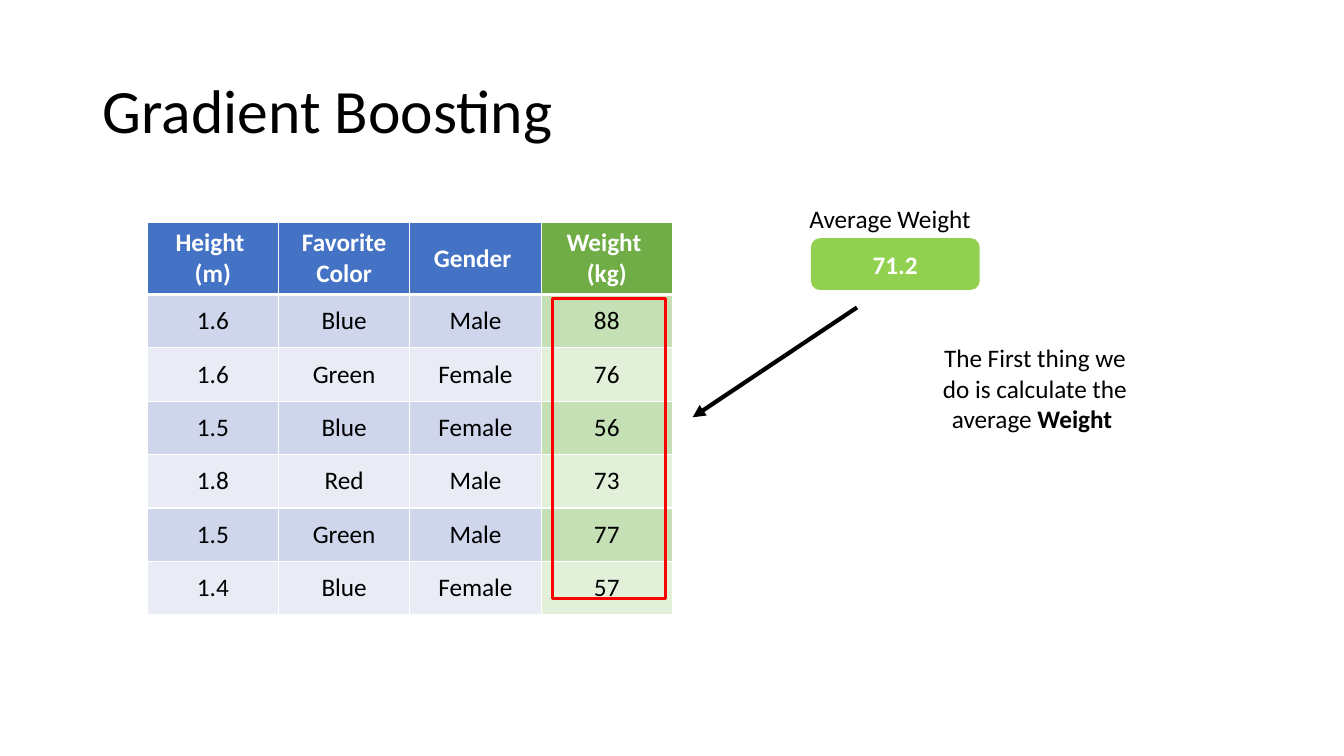
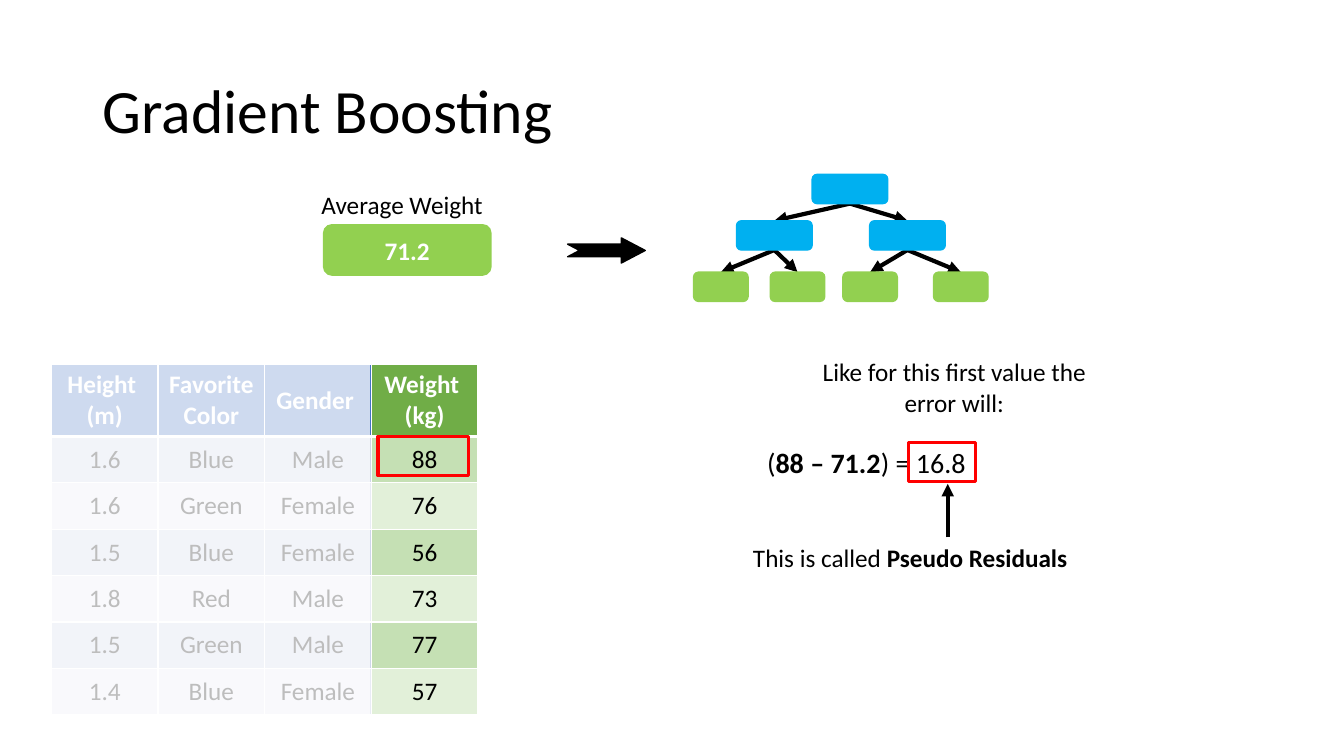
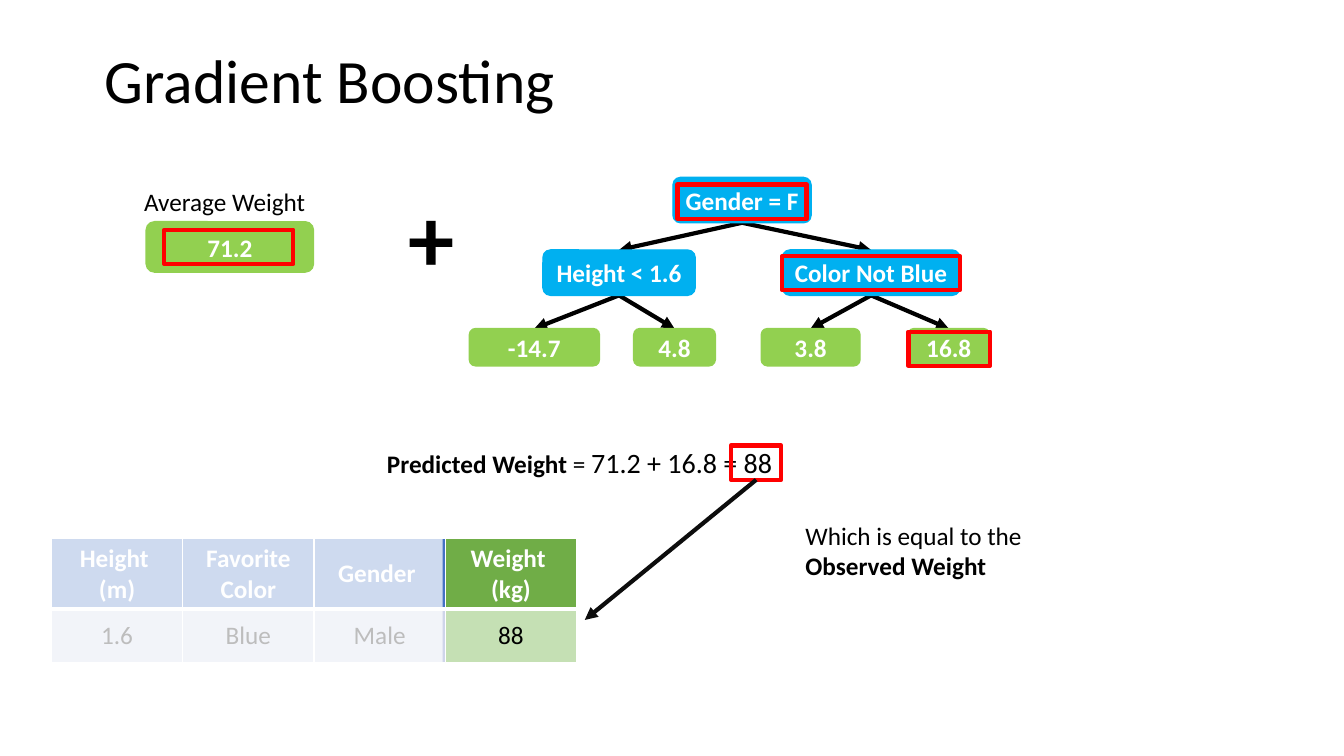
from lxml import etree
from pptx import Presentation
from pptx.dml.color import RGBColor
from pptx.enum.shapes import MSO_CONNECTOR, MSO_SHAPE
from pptx.enum.text import MSO_ANCHOR, MSO_AUTO_SIZE, PP_ALIGN
from pptx.oxml.ns import qn
from pptx.util import Inches, Pt

# Shared style
FONT = "Calibri"
BLACK, WHITE, RED, INK = "000000", "FFFFFF", "FF0000", "0D0D0D"
SKY, LIME = "00B0F0", "92D050"
HEAD_FILLS = ["4472C4"] * 3 + ["70AD47"]
BAND_FILLS = [["CFD5EA"] * 3 + ["C5E0B4"], ["E9EBF5"] * 3 + ["E2F0D9"]]
TITLE = "Gradient Boosting"
HEADER_H = 0.7

# Table content
HEADER = ["Height \n(m)", "Favorite\nColor", "Gender ", "Weight \n(kg)"]
PEOPLE = [
    ("1.6", "Blue", "Male", "88"),
    ("1.6", "Green", "Female", "76"),
    ("1.5", "Blue", "Female", "56"),
    ("1.8", "Red", "Male", "73"),
    ("1.5", "Green", "Male", "77"),
    ("1.4", "Blue", "Female", "57"),
]

# Trees: (top, height, colour, nodes) per level; node = (centre x, width, text)
EMPTY_TREE = [
    (1.73, 0.29, SKY, [(8.43, 0.75, "")]),
    (2.19, 0.29, SKY, [(7.68, 0.75, ""), (9, 0.75, "")]),
    (2.7, 0.29, LIME, [(x, 0.54, "") for x in (7.15, 7.91, 8.63, 9.53)]),
]
FITTED_TREE = [
    (1.76, 0.45, SKY, [(7.36, 1.37, "Gender = F")]),
    (2.48, 0.45, SKY, [(6.14, 1.51, "Height < 1.6"),
                       (8.64, 1.76, "Color Not Blue ")]),
    (3.26, 0.37, LIME, [(5.3, 1.29, "-14.7"), (6.69, 0.81, "4.8"),
                        (8.04, 0.98, "3.8"), (9.41, 0.81, "16.8")]),
]


def rgb(color):
    return RGBColor.from_string(color)


def inches(*values):
    return [Inches(v) for v in values]


def style_run(r, size, color, bold):
    r.font.name, r.font.size, r.font.bold = FONT, Pt(size), bold
    r.font.color.rgb = rgb(color)


def add_title(prs, left=0.92, top=0.4):
    s = prs.slides.add_slide(prs.slide_layouts[5])
    sp = s.shapes.title
    sp.left, sp.top, sp.width, sp.height = inches(left, top, 8.63, 1.45)
    tf = sp.text_frame
    tf.text = TITLE
    tf.auto_size, tf.vertical_anchor = MSO_AUTO_SIZE.NONE, MSO_ANCHOR.MIDDLE
    p = tf.paragraphs[0]
    p.alignment, p.line_spacing = PP_ALIGN.LEFT, 0.9
    style_run(p.runs[0], 44, BLACK, False)
    return s


def add_text(s, at, runs, align=PP_ALIGN.LEFT):
    """Add a text box; each run is (text, size, bold)."""
    tf = s.shapes.add_textbox(*inches(*at)).text_frame
    tf.word_wrap = True
    p = tf.paragraphs[0]
    p.alignment = align
    for text, size, bold in runs:
        r = p.add_run()
        r.text = text
        style_run(r, size, BLACK, bold)


def add_box(s, kind, at, fill=None, line=None, width=1, text=""):
    sp = s.shapes.add_shape(kind, *inches(*at))
    sp.shadow.inherit = False
    if fill:
        sp.fill.solid()
        sp.fill.fore_color.rgb = rgb(fill)
    else:
        sp.fill.background()
    if line:
        sp.line.color.rgb, sp.line.width = rgb(line), Pt(width)
    else:
        sp.line.fill.background()
    if text:
        tf = sp.text_frame
        tf.text, tf.vertical_anchor = text, MSO_ANCHOR.MIDDLE
        p = tf.paragraphs[0]
        p.alignment = PP_ALIGN.CENTER
        style_run(p.runs[0], 18, WHITE, True)
    return sp


def add_node(s, at, color, text):
    add_box(s, MSO_SHAPE.ROUNDED_RECTANGLE, at, color, color, text=text)


def add_frame(s, at, width):
    add_box(s, MSO_SHAPE.RECTANGLE, at, line=RED, width=width)


def add_veil(s, at):
    """Fade what lies below with translucent white."""
    sp = add_box(s, MSO_SHAPE.RECTANGLE, at, WHITE)
    color = sp.fill._xPr.find(qn("a:solidFill"))[0]
    etree.SubElement(color, qn("a:alpha"), val="74000")


def add_arrow(s, start, end, color=BLACK):
    c = s.shapes.add_connector(MSO_CONNECTOR.STRAIGHT, *inches(*start, *end))
    c.line.color.rgb, c.line.width = rgb(color), Pt(3)
    etree.SubElement(c.line._get_or_add_ln(), qn("a:tailEnd"), type="triangle")
    etree.SubElement(c._element.spPr, qn("a:effectLst"))


def add_average(s, left, top):
    add_node(s, (left, top, 1.66, 0.5), LIME, "71.2")
    add_text(s, (left - 0.12, top - 0.4, 1.91, 0.4),
             [("Average Weight", 18, False)])


def add_tree(s, levels):
    # Each node has two children on the next level
    for (top, height, _, parents), (child_top, _, _, children) in zip(
            levels, levels[1:]):
        for i, child in enumerate(children):
            add_arrow(s, (parents[i // 2][0], top + height),
                      (child[0], child_top))
    for top, height, color, nodes in levels:
        for x, width, text in nodes:
            add_node(s, (x - width / 2, top, width, height), color, text)


def set_borders(cell, bottom):
    tcPr = cell._tc.get_or_add_tcPr()
    for side, width in (("L", 1), ("R", 1), ("T", 1), ("B", bottom)):
        ln = etree.SubElement(tcPr, qn("a:ln" + side), w=str(Pt(width)))
        fill = etree.SubElement(ln, qn("a:solidFill"))
        etree.SubElement(fill, qn("a:srgbClr"), val=WHITE)


def add_people(s, left, top, width, row_h, people):
    rows = [HEADER, *people]
    height = HEADER_H + row_h * len(people)
    table = s.shapes.add_table(len(rows), len(HEADER),
                               *inches(left, top, width, height)).table
    for i, values in enumerate(rows):
        head = i == 0
        table.rows[i].height = Inches(HEADER_H if head else row_h)
        fills = HEAD_FILLS if head else BAND_FILLS[(i - 1) % 2]
        for j, (value, fill) in enumerate(zip(values, fills)):
            cell = table.cell(i, j)
            cell.text, cell.vertical_anchor = value, MSO_ANCHOR.MIDDLE
            set_borders(cell, 3 if head else 1)
            cell.fill.solid()
            cell.fill.fore_color.rgb = rgb(fill)
            for p in cell.text_frame.paragraphs:
                p.alignment = PP_ALIGN.CENTER
                style_run(p.runs[0], 18, WHITE if head else BLACK, head)


def average_slide(prs):
    s = add_title(prs)
    add_people(s, 1.46, 2.21, 5.21, 0.53, PEOPLE)
    add_average(s, 8.05, 2.37)
    add_arrow(s, (8.5, 3.05), (6.87, 4.14))
    add_text(s, (9.15, 3.35, 2.23, 1.01),
             [("The First thing we do is calculate the average ", 18, False),
              ("Weight ", 18, True)], PP_ALIGN.CENTER)
    add_frame(s, (5.48, 2.96, 1.12, 2.98), 2.25)


def residual_slide(prs):
    s = add_title(prs)
    add_people(s, 0.51, 3.62, 4.23, 0.46, PEOPLE)
    add_average(s, 3.21, 2.23)
    add_veil(s, (0.16, 3.31, 3.51, 3.9))
    add_tree(s, EMPTY_TREE)
    sp = add_box(s, MSO_SHAPE.NOTCHED_RIGHT_ARROW, (5.63, 2.36, 0.77, 0.25),
                 BLACK, BLACK)
    sp.adjustments[0], sp.adjustments[1] = 0.5, 0.95
    add_text(s, (7.79, 3.49, 3.35, 0.71),
             [("Like for this first value the error will:", 18, False)],
             PP_ALIGN.CENTER)
    add_frame(s, (3.75, 4.33, 0.9, 0.39), 2.25)
    add_text(s, (7.51, 4.37, 2.4, 0.44),
             [("(", 20, False), ("88 – 71.2", 20, True),
              (") = 16.8", 20, False)])
    add_text(s, (7.37, 5.33, 3.84, 0.4),
             [("This is called ", 18, False), ("Pseudo Residuals", 18, True)])
    add_frame(s, (9.01, 4.39, 0.67, 0.39), 2.25)
    add_arrow(s, (9.4, 5.33), (9.4, 4.8))


def prediction_slide(prs):
    s = add_title(prs, 0.94, 0.1)
    add_tree(s, FITTED_TREE)
    add_average(s, 1.45, 2.2)
    add_text(s, (3.93, 1.74, 0.7, 1.21), [("+", 66, True)], PP_ALIGN.CENTER)
    add_people(s, 0.51, 5.34, 5.21, 0.53, PEOPLE[:1])
    add_veil(s, (0.43, 5.34, 3.96, 1.23))
    add_text(s, (3.74, 4.37, 4.43, 0.44),
             [("Predicted Weight ", 18, True), ("= ", 18, False),
              ("71.2 + 16.8 = 88", 20, False)])
    # Frames along the followed path and around the result
    for left, top, width in ((6.72, 1.83, 1.28), (7.76, 2.54, 1.76),
                             (9.01, 3.29, 0.81), (1.63, 2.28, 1.28),
                             (7.25, 4.42, 0.5)):
        add_frame(s, (left, top, width, 0.34), 3)
    add_arrow(s, (7.5, 4.76), (5.8, 6.15), INK)
    add_text(s, (7.89, 5.11, 3.04, 0.71),
             [("Which is equal to the ", 18, False),
              ("Observed Weight", 18, True)])


def main():
    prs = Presentation()
    prs.slide_width, prs.slide_height = inches(13.33, 7.5)
    average_slide(prs)
    residual_slide(prs)
    prediction_slide(prs)
    prs.save("out.pptx")


if __name__ == "__main__":
    main()
